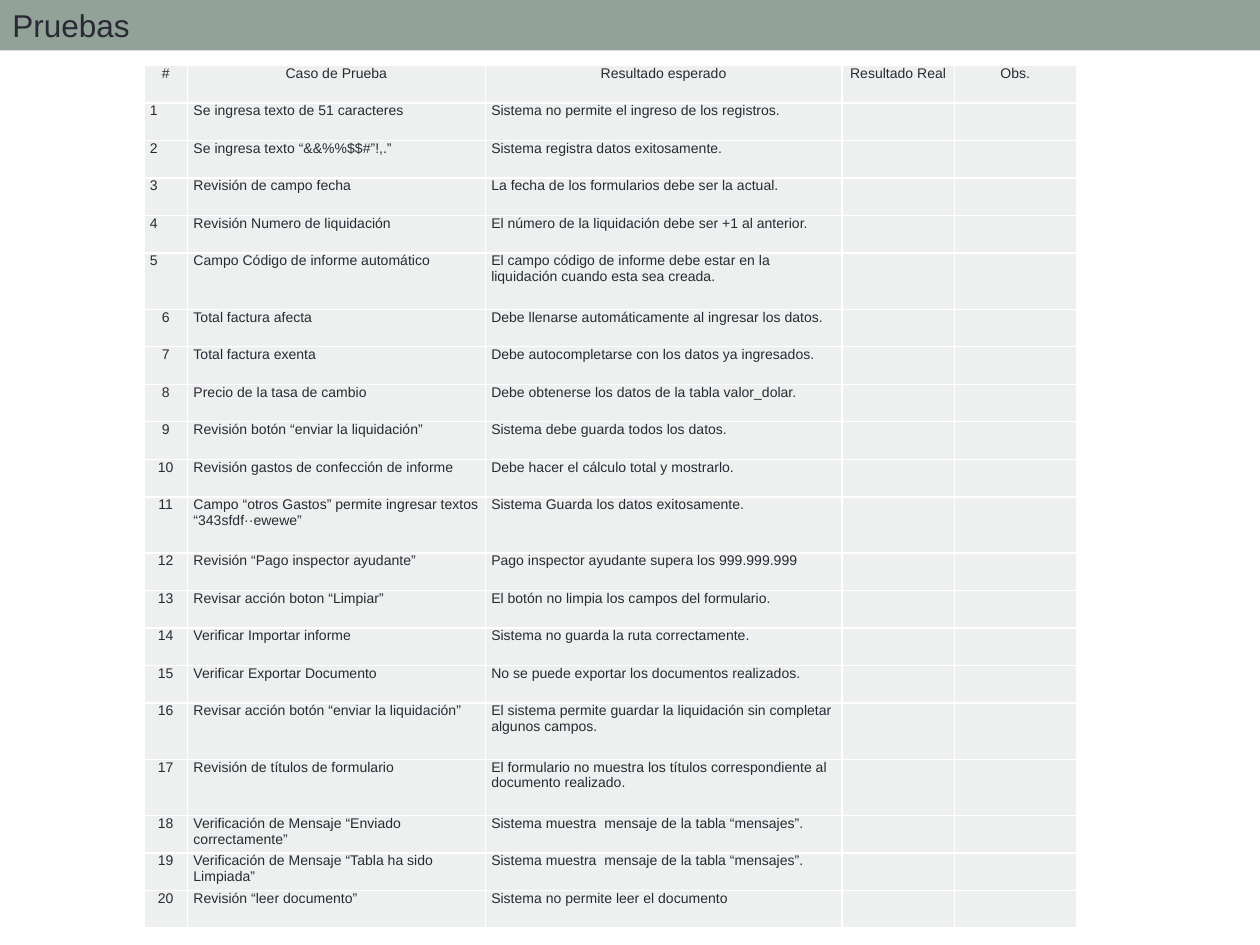
import dataclasses

import lxml.etree
import pptx
import pptx.dml.color
import pptx.enum.shapes
import pptx.enum.text
import pptx.oxml.ns
import pptx.util

Cm = pptx.util.Cm
Pt = pptx.util.Pt
RGB = pptx.dml.color.RGBColor
qn = pptx.oxml.ns.qn


@dataclasses.dataclass(frozen=True)
class Theme:
    """Colours, font and type sizes of the slide."""
    band: str = "93A299"
    cell: str = "EEF0EF"
    rule: str = "FFFFFF"
    ink: str = "292934"
    font: str = "Arial"
    title_size: int = 18
    cell_size: int = 8


THEME = Theme()
HEADINGS = ["#", "Caso de Prueba", "Resultado esperado", "Resultado Real", "Obs."]
COLUMN_WIDTHS = [0.88, 6.0, 7.19, 2.26, 2.46]
TALL_TESTS = {5, 11, 16, 17}
LAST_LEFT_NUMBER = 5
TESTS = [
    ("Se ingresa texto de 51 caracteres",
     "Sistema no permite el ingreso de los registros."),
    ("Se ingresa texto “&&%%$$#”!,.”", "Sistema registra datos exitosamente."),
    ("Revisión de campo fecha", "La fecha de los formularios debe ser la actual."),
    ("Revisión Numero de liquidación",
     "El número de la liquidación debe ser +1 al anterior."),
    ("Campo Código de informe automático",
     "El campo código de informe debe estar en la liquidación cuando esta sea creada."),
    ("Total factura afecta", "Debe llenarse automáticamente al ingresar los datos."),
    ("Total factura exenta", "Debe autocompletarse con los datos ya ingresados."),
    ("Precio de la tasa de cambio",
     "Debe obtenerse los datos de la tabla valor_dolar."),
    ("Revisión botón “enviar la liquidación”", "Sistema debe guarda todos los datos."),
    ("Revisión gastos de confección de informe",
     "Debe hacer el cálculo total y mostrarlo."),
    ("Campo “otros Gastos” permite ingresar textos “343sfdf··ewewe”",
     "Sistema Guarda los datos exitosamente."),
    ("Revisión “Pago inspector ayudante”",
     "Pago inspector ayudante supera los 999.999.999"),
    ("Revisar acción boton “Limpiar”", "El botón no limpia los campos del formulario."),
    ("Verificar Importar informe", "Sistema no guarda la ruta correctamente."),
    ("Verificar Exportar Documento", "No se puede exportar los documentos realizados."),
    ("Revisar acción botón “enviar la liquidación”",
     "El sistema permite guardar la liquidación sin completar algunos campos."),
    ("Revisión de títulos de formulario",
     "El formulario no muestra los títulos correspondiente al documento realizado."),
    ("Verificación de Mensaje “Enviado correctamente”",
     "Sistema muestra  mensaje de la tabla “mensajes”."),
    ("Verificación de Mensaje “Tabla ha sido Limpiada”",
     "Sistema muestra  mensaje de la tabla “mensajes”."),
    ("Revisión “leer documento”", "Sistema no permite leer el documento"),
]


def add_run(paragraph, text, size):
    """Append one run in the theme's font and ink."""
    run = paragraph.add_run()
    run.text = text
    run.font.size = Pt(size)
    run.font.name = THEME.font
    run.font.color.rgb = RGB.from_string(THEME.ink)


def draw_title(slide, left, top, width, height):
    """Draw the coloured band and the title at its left end."""
    band = slide.shapes.add_shape(pptx.enum.shapes.MSO_SHAPE.RECTANGLE,
                                  left, top, width, height)
    band.shadow.inherit = False
    band.fill.solid()
    band.fill.fore_color.rgb = RGB.from_string(THEME.band)
    band.line.fill.background()
    title = slide.shapes.add_textbox(left, top, Cm(2.9), height).text_frame
    title.word_wrap = False
    title.auto_size = pptx.enum.text.MSO_AUTO_SIZE.SHAPE_TO_FIT_TEXT
    add_run(title.paragraphs[0], "Pruebas", THEME.title_size)


def add_borders(cell):
    """Put a thin rule on the four sides of a cell, ahead of its fill."""
    properties = cell._tc.get_or_add_tcPr()
    for index, side in enumerate(("lnL", "lnR", "lnT", "lnB")):
        border = lxml.etree.Element(qn(f"a:{side}"), w=str(Pt(1)))
        fill = lxml.etree.SubElement(border, qn("a:solidFill"))
        lxml.etree.SubElement(fill, qn("a:srgbClr"), val=THEME.rule)
        properties.insert(index, border)


def fill_cell(cell, text, centred):
    """Set the text, margins, fill and borders of a cell."""
    cell.margin_left = cell.margin_right = Cm(0.12)
    cell.margin_top = cell.margin_bottom = 0
    cell.fill.solid()
    cell.fill.fore_color.rgb = RGB.from_string(THEME.cell)
    add_borders(cell)
    paragraph = cell.text_frame.paragraphs[0]
    if centred:
        paragraph.alignment = pptx.enum.text.PP_ALIGN.CENTER
    if text:
        add_run(paragraph, text, THEME.cell_size)
    else:
        lxml.etree.SubElement(paragraph._p, qn("a:endParaRPr"),
                              sz=str(THEME.cell_size * 100))


def draw_tests(slide, left, top, width, height):
    """Draw the test table; tall rows are one and a half times the others."""
    rows = [HEADINGS] + [[str(number), case, expected, "", ""]
                         for number, (case, expected) in enumerate(TESTS, 1)]
    tests = slide.shapes.add_table(len(rows), len(HEADINGS),
                                   left, top, width, height).table
    tests.first_row = tests.horz_banding = False
    for column, share in zip(tests.columns, COLUMN_WIDTHS):
        column.width = int(width * share / sum(COLUMN_WIDTHS))
    weights = [3 if number in TALL_TESTS else 2 for number in range(len(rows))]
    for number, (texts, weight) in enumerate(zip(rows, weights)):
        tests.rows[number].height = int(height * weight / sum(weights))
        for position, text in enumerate(texts):
            centred = number == 0 or (position == 0 and number > LAST_LEFT_NUMBER)
            fill_cell(tests.cell(number, position), text, centred)


def main():
    """Build and save the slide."""
    deck = pptx.Presentation()
    deck.slide_width, deck.slide_height = Cm(25.4), Cm(19.05)
    slide = deck.slides.add_slide(deck.slide_layouts[6])
    draw_title(slide, 0, 0, deck.slide_width, Cm(1.02))
    draw_tests(slide, Cm(2.9), Cm(1.32), Cm(18.8), Cm(17.4))
    deck.save("out.pptx")


main()
